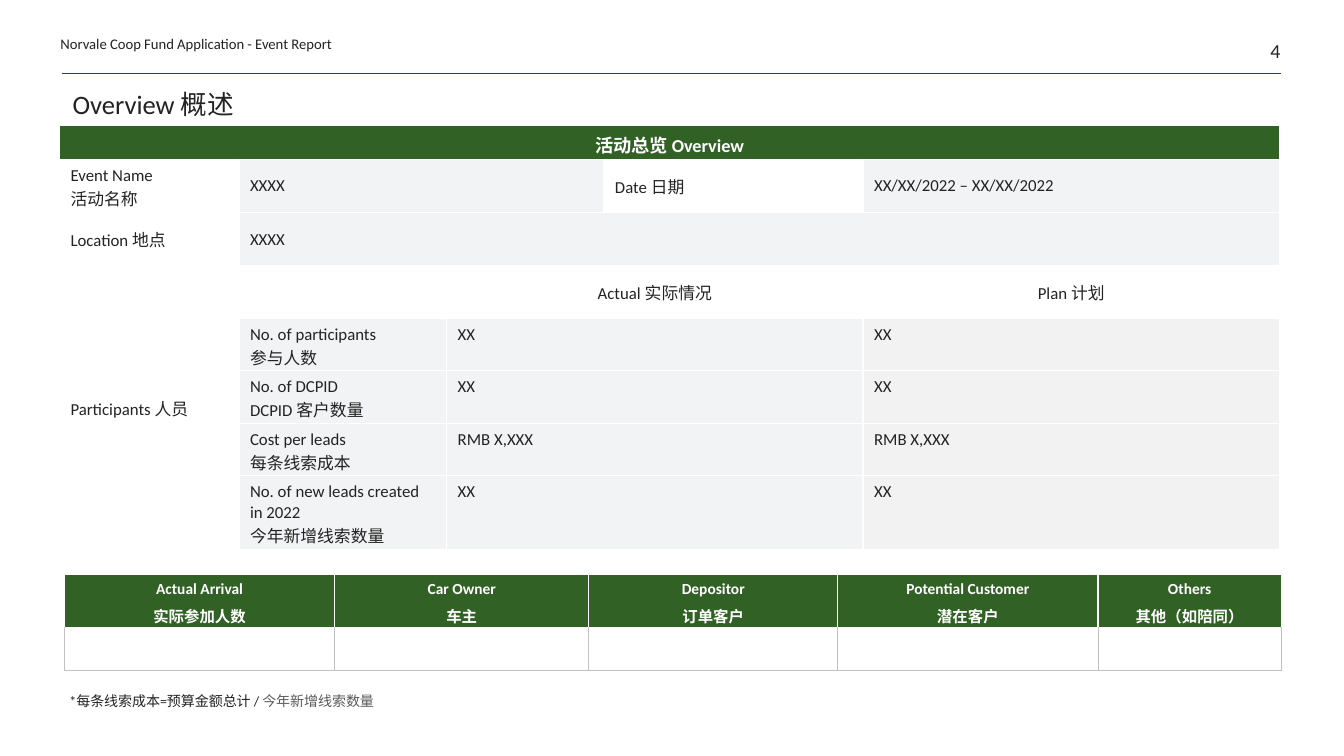
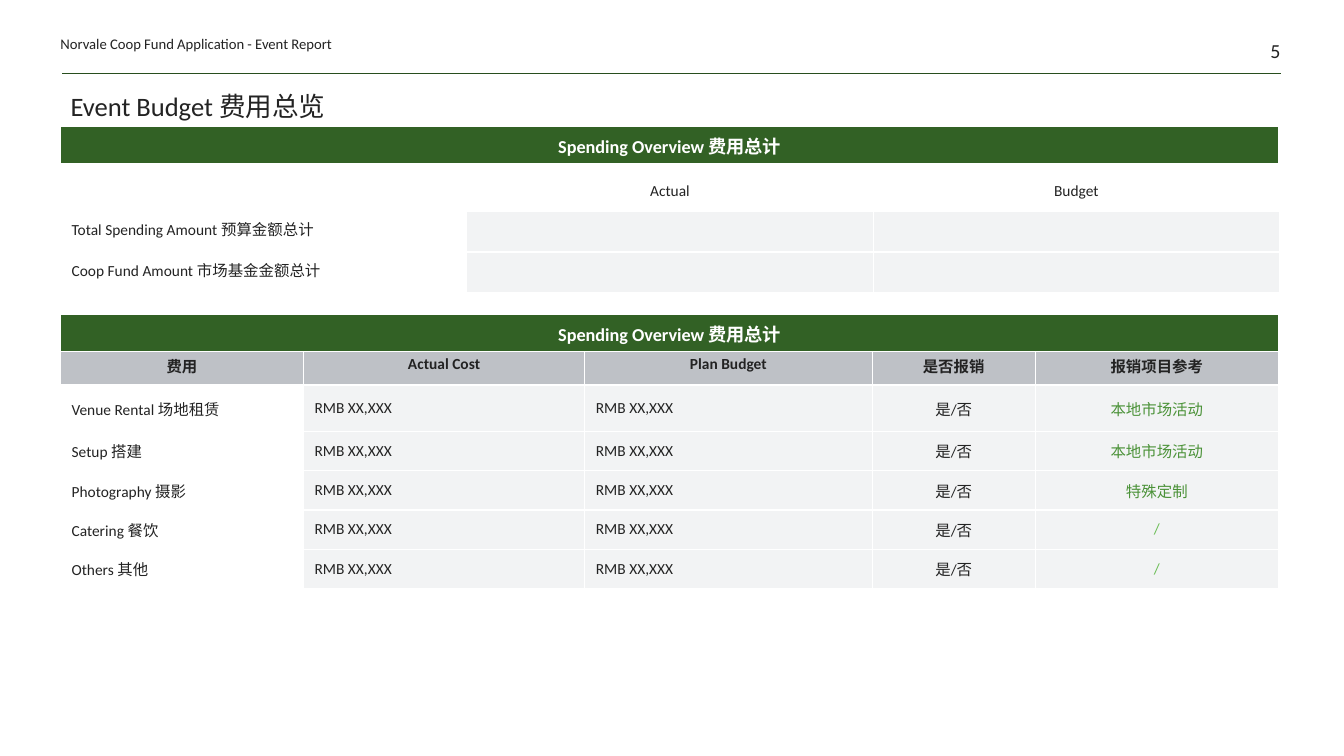
from pptx import Presentation
from pptx.dml.color import RGBColor
from pptx.enum.text import MSO_ANCHOR, PP_ALIGN
from pptx.oxml import parse_xml
from pptx.oxml.ns import nsdecls
from pptx.util import Inches, Pt

HUES = {"ink": "232323", "soft": "5A5A5A", "green": "326125", "rule": "284E1E",
        "leaf": "4B9238", "lime": "67BC51", "white": "FFFFFF", "pale": "F2F3F4",
        "plan": "F2F2F2", "gray": "BEC1C6"}
LEFT, MID, RIGHT = PP_ALIGN.LEFT, PP_ALIGN.CENTER, PP_ALIGN.RIGHT
TOP, HALF, LOW = MSO_ANCHOR.TOP, MSO_ANCHOR.MIDDLE, MSO_ANCHOR.BOTTOM
HEAD = {"size": 13, "hue": "white", "bold": True, "align": MID}


def put(box, text, size=12, hue="ink", bold=False, align=LEFT, anchor=HALF,
        pad=(0.11, 0.06), before=0, lead=None, tail=""):
    frame = getattr(box, "text_frame")
    host = frame if hasattr(box, "shape_type") else box
    host.margin_left = host.margin_right = Inches(pad[0])
    host.margin_top = host.margin_bottom = Inches(pad[1])
    host.vertical_anchor = anchor
    frame.word_wrap = True
    for i, line in enumerate(text.split("\n")):
        para = frame.add_paragraph() if i else frame.paragraphs[0]
        para.alignment = align
        para.space_before = Pt(before)
        para.line_spacing = lead
        for part, tone in ((line, hue), (tail, "soft")):
            if part:
                run = para.add_run()
                run.text = part
                run.font.size = Pt(size)
                run.font.bold = bold
                run.font.name = "Calibri"
                run.font.color.rgb = RGBColor.from_string(HUES[tone])
                run.font._element.find("{*}latin").addnext(parse_xml(
                    f'<a:ea {nsdecls("a")} typeface="Noto Sans CJK SC"/>'))


def grid(slide, left, top, cols, rows, fills, edges=None):
    table = slide.shapes.add_table(
        len(rows), len(cols), Inches(left), Inches(top),
        Inches(sum(cols)), Inches(sum(rows))).table
    table.first_row = table.horz_banding = False
    for col, width in zip(table.columns, cols):
        col.width = Inches(width)
    for r, high in enumerate(rows):
        table.rows[r].height = Inches(high)
        edge, wide = edges[r] if edges else ("white", 1)
        for c, fill in enumerate(fills[r]):
            cell = table.cell(r, c)
            for side in "LRTB":
                cell._tc.get_or_add_tcPr().append(parse_xml(
                    f'<a:ln{side} {nsdecls("a")} w="{Pt(wide)}"><a:solidFill>'
                    f'<a:srgbClr val="{HUES[edge]}"/></a:solidFill></a:ln{side}>'))
            cell.fill.solid()
            cell.fill.fore_color.rgb = RGBColor.from_string(HUES[fill])
    return table


deck = Presentation()
deck.slide_width, deck.slide_height = Inches(13.33), Inches(7.5)
slides = []
for page, name, left, top, high in (
        ("4", "Overview 概述", 0.62, 0.84, 0.4),
        ("5", "Event Budget 费用总览", 0.6, 0.74, 0.52)):
    slide = deck.slides.add_slide(deck.slide_layouts[5])
    slides.append(slide)
    rule = slide.shapes.add_connector(
        1, Inches(0.62), Inches(0.73), Inches(12.71), Inches(0.73))
    rule.line.color.rgb = RGBColor.from_string(HUES["rule"])
    rule.line.width = Pt(0.5)
    rule._element.spPr.append(parse_xml(f'<a:effectLst {nsdecls("a")}/>'))
    title = slide.shapes.title
    title.left, title.top = Inches(left), Inches(top)
    title.width, title.height = Inches(12.08), Inches(high)
    put(title, name, size=19, anchor=LOW, pad=(0.1, 0.05), lead=0.85)
    num = slide.shapes.add_textbox(Inches(11.87), 0, Inches(0.83), Inches(0.62))
    put(num, page, size=14.2, align=RIGHT, anchor=LOW, pad=(0, 0))
    label = slide.shapes.add_textbox(
        Inches(0.6), Inches(0.29), Inches(4.17), Inches(0.23))
    put(label, "Norvale Coop Fund Application - Event Report",
        size=10.5, anchor=LOW, pad=(0, 0))
first, second = slides

note = first.shapes.add_textbox(Inches(0.59), Inches(6.82), Inches(5.6), Inches(0.27))
put(note, "*每条线索成本=预算金额总计 / ", size=10, anchor=TOP, pad=(0.1, 0.05),
    tail="今年新增线索数量")

lead_row = ["white"] + ["pale"] * 3 + ["plan"]
event = grid(first, 0.59, 1.24, [1.78, 2.06, 1.56, 2.57, 4.13],
             [0.34] + [0.53] * 2 + [0.52] * 4 + [0.73],
             [["green"] * 5, ["white", "pale", "pale", "white", "pale"],
              ["white"] + ["pale"] * 4, ["white"] * 5] + [lead_row] * 4)
spans = [(0, 0, 0, 4), (1, 1, 1, 2), (2, 1, 2, 4), (3, 0, 7, 0)]
spans += [(r, 2, r, 3) for r in range(3, 8)]
for r, c, last, end in spans:
    event.cell(r, c).merge(event.cell(last, end))
put(event.cell(0, 0), "活动总览 Overview", **HEAD)
for r, c, text, align in (
        (1, 0, "Event Name\n活动名称", LEFT), (1, 1, "XXXX", LEFT),
        (1, 3, "Date 日期", LEFT), (1, 4, "XX/XX/2022 – XX/XX/2022", LEFT),
        (2, 0, "Location 地点", LEFT), (2, 1, "XXXX", LEFT),
        (3, 0, "Participants 人员", LEFT),
        (3, 2, "Actual 实际情况", MID), (3, 4, "Plan 计划", MID)):
    put(event.cell(r, c), text, align=align)
for r, (text, value) in enumerate((
        ("No. of participants\n参与人数", "XX"),
        ("No. of DCPID\nDCPID 客户数量", "XX"),
        ("Cost per leads\n每条线索成本", "RMB X,XXX"),
        ("No. of new leads created in 2022\n今年新增线索数量", "XX")), 4):
    for c, entry in ((1, text), (2, value), (4, value)):
        put(event.cell(r, c), entry, anchor=TOP)

guests = grid(first, 0.64, 5.7, [2.68, 2.52, 2.47, 2.58, 1.82], [0.52, 0.43],
              [["green"] * 5, ["white"] * 5], [("white", 1), ("gray", 0.5)])
for c, text in enumerate((
        "Actual Arrival\n实际参加人数", "Car Owner\n车主", "Depositor\n订单客户",
        "Potential Customer\n潜在客户", "Others\n其他（如陪同）")):
    put(guests.cell(0, c), text, **{**HEAD, "size": 11}, pad=(0.05, 0.05), before=4)

total = grid(second, 0.6, 1.7, [4.03] * 3, [0.39, 0.4, 0.4],
             [["white"] * 3] + [["white", "pale", "pale"]] * 2)
for c, text in enumerate(("Actual", "Budget"), 1):
    put(total.cell(0, c), text, size=11, align=MID)
for r, text in enumerate(("Total Spending Amount 预算金额总计",
                          "Coop Fund Amount 市场基金金额总计"), 1):
    put(total.cell(r, 0), text, size=11, anchor=TOP)

costs = grid(second, 0.6, 3.46, [2.41, 2.79, 2.85, 1.62, 2.41],
             [0.36, 0.46] + [0.39] * 4,
             [["gray"] * 5] + [["white"] + ["pale"] * 4] * 5)
for c, text in enumerate(("费用", "Actual Cost", "Plan Budget", "是否报销", "报销项目参考")):
    put(costs.cell(0, c), text, size=11, bold=True, align=MID, anchor=TOP)
for r, (item, kind, hue) in enumerate((
        ("Venue Rental 场地租赁", "本地市场活动", "leaf"),
        ("Setup 搭建", "本地市场活动", "leaf"),
        ("Photography 摄影", "特殊定制", "leaf"),
        ("Catering 餐饮", "/", "lime"),
        ("Others 其他", "/", "lime")), 1):
    for c, text in enumerate((item, "RMB XX,XXX", "RMB XX,XXX", "是/否", kind)):
        put(costs.cell(r, c), text, size=11, align=MID if c > 2 else LEFT,
            hue=hue if c == 4 else "ink")

for top in (1.25, 3.12):
    band = grid(second, 0.6, top, [12.08], [0.37], [["green"]])
    put(band.cell(0, 0), "Spending Overview 费用总计", **HEAD)

deck.save("out.pptx")
